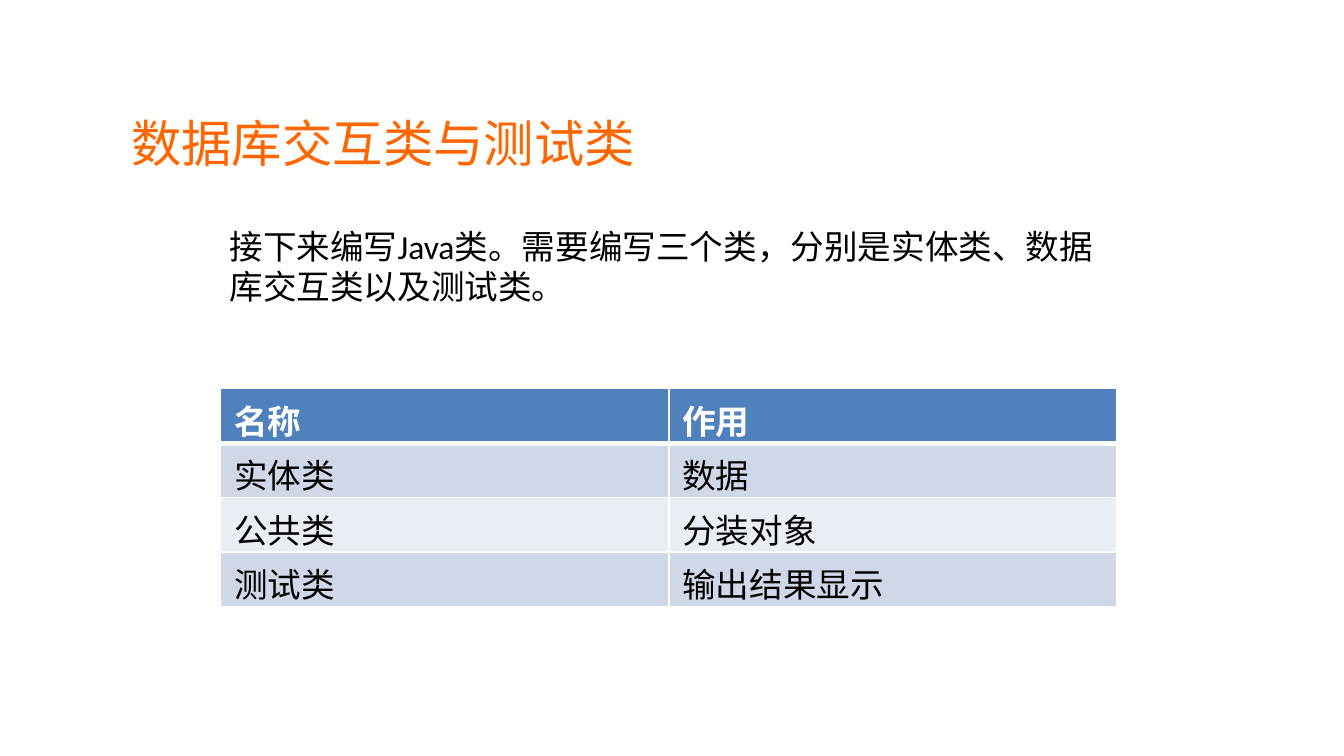
from lxml import etree
from pptx import Presentation
from pptx import util as u
from pptx.dml.color import RGBColor
from pptx.enum import text
from pptx.oxml.ns import qn

ROWS = [("名称", "作用"), ("实体类", "数据"),
        ("公共类", "分装对象"), ("测试类", "输出结果显示")]


def color(hex_value):
    return RGBColor.from_string(hex_value)


def add_run(p, content, size, font, fill, bold=False):
    r = p.add_run()
    r.text = content
    r.font.size = u.Pt(size)
    r.font.name = font
    r.font.bold = bold
    r.font.color.rgb = color(fill)
    return r


def add_text(s, box, content, size, font, fill):
    sp = s.shapes.add_textbox(*map(u.Cm, box))
    tf = sp.text_frame
    tf.word_wrap = True
    r = add_run(tf.paragraphs[0], content, size, font, fill)
    # East Asian glyphs take the same face and line height
    etree.SubElement(r.font._element, qn("a:ea"), typeface=font)
    return tf


def add_title(s, box):
    tf = add_text(s, box, "数据库交互类与测试类", 27, "Arial", "FF6600")
    tf.vertical_anchor = text.MSO_ANCHOR.MIDDLE
    tf.margin_left = tf.margin_right = u.Cm(0.19)
    tf.margin_top = tf.margin_bottom = u.Cm(0.1)


def add_intro(s, box):
    tf = add_text(
        s, box,
        "接下来编写Java类。需要编写三个类，分别是实体类、数据库交互类以及测试类。",
        18, "Calibri", "000000")
    tf.auto_size = text.MSO_AUTO_SIZE.SHAPE_TO_FIT_TEXT


def set_borders(cell, widths):
    tcPr = cell._tc.get_or_add_tcPr()
    for i, (side, width) in enumerate(widths.items()):
        ln = etree.Element(qn(f"a:ln{side}"), w=str(u.Pt(width)))
        fill = etree.SubElement(ln, qn("a:solidFill"))
        etree.SubElement(fill, qn("a:srgbClr"), val="FFFFFF")
        tcPr.insert(i, ln)


def add_class_table(s, box):
    x, y, w, h = map(u.Cm, box)
    table = s.shapes.add_table(len(ROWS), 2, x, y, w, h).table
    for i, row in enumerate(ROWS):
        header = i == 0
        fill = "4F81BD" if header else ("E9EDF4", "D0D8E8")[i % 2]
        for j, content in enumerate(row):
            cell = table.cell(i, j)
            cell.fill.solid()
            cell.fill.fore_color.rgb = color(fill)
            add_run(cell.text_frame.paragraphs[0], content, 18, "Calibri",
                    "FFFFFF" if header else "000000", header)
            # White grid, heavier below the header
            set_borders(cell, {"L": 1, "R": 1, "T": 3 if i == 1 else 1,
                               "B": 3 if header else 1})


def main():
    prs = Presentation()
    prs.slide_width, prs.slide_height = u.Cm(25.4), u.Cm(14.28)
    s = prs.slides.add_slide(prs.slide_layouts[6])
    add_title(s, (2.29, 1.7, 21.13, 1.96))
    add_class_table(s, (4.17, 7.34, 16.94, 4.12))
    add_intro(s, (4.09, 4.14, 17, 2.57))
    prs.save("out.pptx")


if __name__ == "__main__":
    main()
